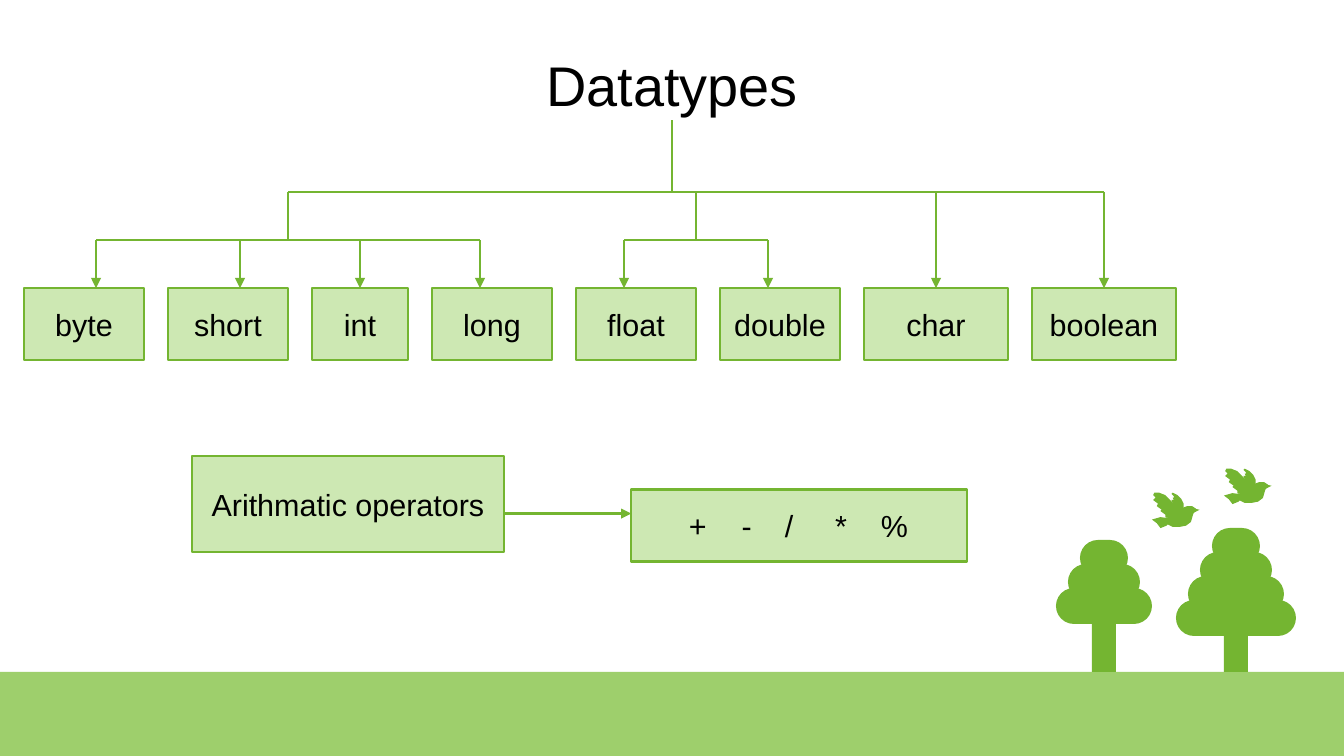
from dataclasses import dataclass

from lxml import etree
from pptx import Presentation
from pptx.dml.color import RGBColor
from pptx.enum import shapes, text
from pptx.oxml import ns
from pptx.util import Cm, Pt

# Content: lengths in cm
TITLE = "Datatypes"
# Each family: members as (name, box width, arrow position)
FAMILIES = [
    [("byte", 2.5, 2), ("short", 2.5, 5), ("int", 2, 7.5), ("long", 2.5, 10)],
    [("float", 2.5, 13), ("double", 2.5, 16)],
    [("char", 3, 19.5)],
    [("boolean", 3, 23)],
]
OPERATORS_LABEL = "Arithmatic operators"
OPERATORS = ["+", "-", "/", "*", "%"]
OPERATOR_TABS = [1.1, 2, 3.05, 4]

# Scenery: trees as (centre, crown top, tiers), birds as (left, top)
TREES = [(25.75, 11, 4), (23, 11.25, 3)]
BIRDS = [(24, 10.24), (25.5, 9.74)]
BIRD_PARTS = [
    # far wing
    [(24, 6), (21, 3), (17, 1), (16, 2), (18, 4), (18, 5), (17, 5), (18, 7),
     (16, 7), (18, 12), (20, 16), (25, 18), (26, 14), (26, 10)],
    # body and near wing
    [(29, 12), (26, 13), (24, 16), (19, 11), (11, 3), (6, 1), (2, 1), (1, 3),
     (3, 5), (1, 7), (5, 10), (4, 12), (8, 15), (7, 16), (11, 19), (11, 21),
     (14, 22), (7, 21), (0, 23), (4, 26), (7, 30), (12, 28), (13, 27),
     (17, 29), (23, 29), (28, 28), (32, 25), (34, 18), (36, 16), (36, 14),
     (33, 12)],
    # beak
    [(35, 14), (35, 17), (39, 15)],
]
BIRD_UNIT = Cm(2.54) / 100

# Layout
PAGE_WIDTH, PAGE_HEIGHT = 28, 15.75
GROUND = 14
ROOT_Y, RAIL_Y, BRANCH_Y, BOX_Y = 2.5, 4, 5, 6
BOX_HEIGHT, BOX_GAP = 1.5, 0.5
TIER_HEIGHT, TIER_STEP, TRUNK_WIDTH, TRUNK_TOP = 0.75, 0.5, 0.5, 11.5


@dataclass(frozen=True)
class Theme:
    font: str = "Arial"
    ink: RGBColor = RGBColor(0, 0, 0)
    ground: RGBColor = RGBColor(0x9E, 0xCF, 0x6C)
    green: RGBColor = RGBColor(0x74, 0xB5, 0x31)
    pale: RGBColor = RGBColor(0xCD, 0xE8, 0xB3)
    title_size: Pt = Pt(33)
    label_size: Pt = Pt(18)
    line_width: Pt = Pt(1.42)


theme = Theme()
KIND = shapes.MSO_SHAPE

deck = Presentation()
deck.slide_width, deck.slide_height = Cm(PAGE_WIDTH), Cm(PAGE_HEIGHT)
page = deck.slides.add_slide(deck.slide_layouts[6])


def paint(shape, color):
    shape.shadow.inherit = False
    shape.fill.solid()
    shape.fill.fore_color.rgb = color
    shape.line.fill.background()


def add_block(kind, left, top, width, height, color):
    shape = page.shapes.add_shape(kind, Cm(left), Cm(top), Cm(width), Cm(height))
    paint(shape, color)
    return shape


def write(shape, words, size, wrap=False):
    frame = shape.text_frame
    frame.word_wrap = wrap
    frame.vertical_anchor = text.MSO_ANCHOR.MIDDLE
    para = frame.paragraphs[0]
    para.text = words
    para.alignment = text.PP_ALIGN.CENTER
    para.font.name, para.font.size = theme.font, size
    para.font.color.rgb = theme.ink
    return para


def add_box(words, left, top, width, height):
    box = add_block(KIND.RECTANGLE, left, top, width, height, theme.pale)
    box.line.color.rgb = theme.green
    box.line.width = theme.line_width
    return box, write(box, words, theme.label_size)


def add_line(x1, y1, x2, y2, arrow=False):
    line = page.shapes.add_connector(
        shapes.MSO_CONNECTOR.STRAIGHT, Cm(x1), Cm(y1), Cm(x2), Cm(y2))
    line.line.color.rgb = theme.green
    line.line.width = theme.line_width
    if arrow:
        etree.SubElement(line.line._get_or_add_ln(), ns.qn("a:tailEnd"), type="triangle")
    etree.SubElement(line._element.spPr, ns.qn("a:effectLst"))


# Ground and trees
add_block(KIND.RECTANGLE, 0, GROUND, PAGE_WIDTH, PAGE_HEIGHT - GROUND, theme.ground)
for center, top, tiers in TREES:
    add_block(KIND.RECTANGLE, center - TRUNK_WIDTH / 2, TRUNK_TOP,
              TRUNK_WIDTH, GROUND - TRUNK_TOP, theme.green)
    for tier in reversed(range(tiers)):
        width = 1 + tier * TIER_STEP
        crown = add_block(KIND.ROUNDED_RECTANGLE, center - width / 2,
                          top + tier * TIER_STEP, width, TIER_HEIGHT, theme.green)
        crown.adjustments[0] = 0.5

# Birds
for left, top in BIRDS:
    for points in BIRD_PARTS:
        outline = page.shapes.build_freeform(*points[0], scale=BIRD_UNIT)
        outline.add_line_segments(points[1:], close=True)
        paint(outline.convert_to_shape(Cm(left), Cm(top)), theme.green)

# Title
title = page.shapes.add_textbox(Cm(1.5), Cm(0.5), Cm(25), Cm(2.5))
write(title, TITLE, theme.title_size, wrap=True)

# Datatype tree: each family hangs from the middle of its arrows
stems = [(family[0][2] + family[-1][2]) / 2 for family in FAMILIES]
add_line(PAGE_WIDTH / 2, ROOT_Y, PAGE_WIDTH / 2, RAIL_Y)
add_line(stems[0], RAIL_Y, stems[-1], RAIL_Y)
left = BOX_GAP
for family, stem in zip(FAMILIES, stems):
    arrow_top = RAIL_Y
    if len(family) > 1:
        arrow_top = BRANCH_Y
        add_line(stem, RAIL_Y, stem, BRANCH_Y)
        add_line(family[0][2], BRANCH_Y, family[-1][2], BRANCH_Y)
    for name, width, arrow_x in family:
        add_line(arrow_x, arrow_top, arrow_x, BOX_Y, arrow=True)
        add_box(name, left, BOX_Y, width, BOX_HEIGHT)
        left += width + BOX_GAP

# Operators, spaced by tab stops
add_line(10.15, 10.7, 13.15, 10.7, arrow=True)
box, para = add_box("\t".join(OPERATORS), 13.15, 10.2, 7, BOX_HEIGHT)
box.text_frame.word_wrap = True
box.text_frame.margin_left = Cm(1.2)
para.alignment = text.PP_ALIGN.LEFT
tab_list = etree.Element(ns.qn("a:tabLst"))
for position in OPERATOR_TABS:
    etree.SubElement(tab_list, ns.qn("a:tab"), pos=str(Cm(position)), algn="l")
para._p.get_or_add_pPr().insert(0, tab_list)
add_box(OPERATORS_LABEL, 4, 9.5, 6.5, 2)

deck.save("out.pptx")
